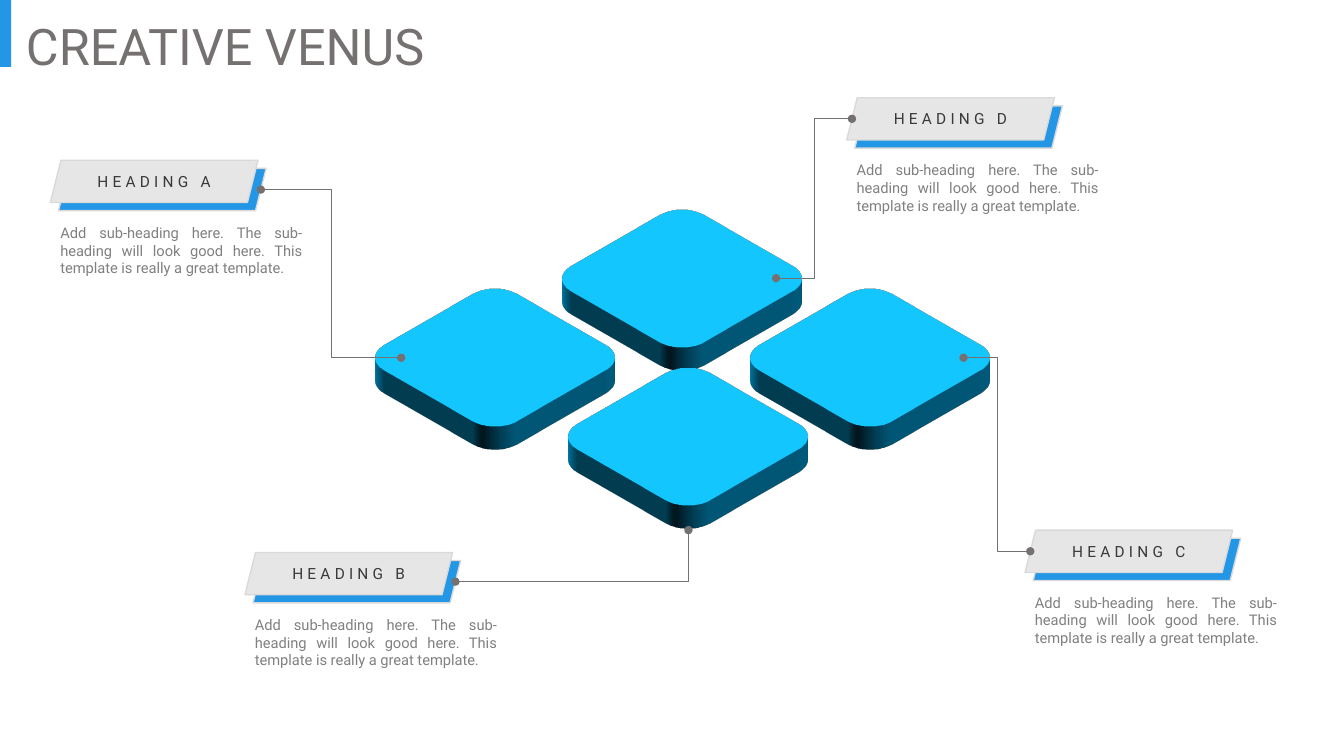
from dataclasses import dataclass

from lxml.etree import SubElement
from pptx import Presentation
from pptx.dml.color import RGBColor
from pptx.enum.shapes import MSO_CONNECTOR as Link, MSO_SHAPE as Preset
from pptx.enum.text import MSO_ANCHOR as Anchor, MSO_AUTO_SIZE as AutoSize, PP_ALIGN as Align
from pptx.oxml.ns import qn
from pptx.shapes.autoshape import Shape
from pptx.shapes.shapetree import SlideShapes
from pptx.text.text import TextFrame
from pptx.util import Pt

BLUE = RGBColor(0x23, 0x96, 0xE5)
TILE_BLUE = RGBColor(0x00, 0xB0, 0xF0)
PLATE_GREY = RGBColor(0xE7, 0xE6, 0xE6)
EDGE_GREY = RGBColor(0xD9, 0xD9, 0xD9)
LINK_GREY = RGBColor(0x76, 0x71, 0x71)
HEADING_GREY = RGBColor(0x3B, 0x38, 0x38)
BODY_GREY = RGBColor(0x80, 0x80, 0x80)

FONT = "Roboto"
SUB_HEADING = ("Add sub-heading here. The sub-heading will look good here. "
               "This template is really a great template.")
TILE = 133.9
PLATE_W, PLATE_H = 148.3, 30.2
PLATE_SLANT = PLATE_H / 4
BACK_OFFSET = 5.8
EXTRUSION = 20

# Connection sites: (index, x share, y share) on a tile
TILE_LEFT, TILE_BOTTOM, TILE_RIGHT = (1, 0, 0.5), (2, 0.5, 1), (3, 1, 0.5)
PLATE_LEFT_SITE, PLATE_RIGHT_SITE = 2, 5


@dataclass(frozen=True)
class Topic:
    heading: str
    left: float
    top: float
    tile_left: float
    tile_top: float
    tile_site: tuple[int, float, float]
    leaves_right: bool
    one_bend: bool = False


TOPICS = [
    Topic("HEADING A", 36, 114.5, 286.6, 188.6, TILE_LEFT, True),
    Topic("HEADING B", 175, 394.6, 424.8, 244.8, TILE_BOTTOM, True, one_bend=True),
    Topic("HEADING C", 732.2, 378.7, 554.4, 188.6, TILE_RIGHT, False),
    Topic("HEADING D", 604.8, 69.8, 420.5, 131.8, TILE_RIGHT, False),
]


def add_block(shapes: SlideShapes, preset: Preset, left: float, top: float,
              width: float, height: float, fill: RGBColor,
              edge: RGBColor | None = None) -> Shape:
    block = shapes.add_shape(preset, Pt(left), Pt(top), Pt(width), Pt(height))
    block.shadow.inherit = False
    block.fill.solid()
    block.fill.fore_color.rgb = fill
    if edge is None:
        block.line.fill.background()
    else:
        block.line.color.rgb = edge
        block.line.width = Pt(1)
    return block


def write(frame: TextFrame, text: str, size: float, color: RGBColor, align: Align) -> None:
    frame.word_wrap = True
    paragraph = frame.paragraphs[0]
    paragraph.text = text
    paragraph.alignment = align
    paragraph.font.name = FONT
    paragraph.font.size = Pt(size)
    paragraph.font.color.rgb = color


def add_text(shapes: SlideShapes, left: float, top: float, width: float, height: float,
             text: str, size: float, color: RGBColor, align: Align) -> None:
    frame = shapes.add_textbox(Pt(left), Pt(top), Pt(width), Pt(height)).text_frame
    write(frame, text, size, color, align)
    frame.auto_size = AutoSize.SHAPE_TO_FIT_TEXT


def add_tile(shapes: SlideShapes, topic: Topic) -> Shape:
    """Add a rounded square, extruded and seen isometrically from above."""
    tile = add_block(shapes, Preset.ROUNDED_RECTANGLE, topic.tile_left, topic.tile_top,
                     TILE, TILE, TILE_BLUE)
    properties = tile.element.spPr
    scene = SubElement(properties, qn("a:scene3d"))
    SubElement(scene, qn("a:camera"), prst="isometricTopUp")
    SubElement(scene, qn("a:lightRig"), rig="threePt", dir="t")
    SubElement(properties, qn("a:sp3d"), extrusionH=str(Pt(EXTRUSION)))
    return tile


def add_plate(shapes: SlideShapes, topic: Topic) -> tuple[Shape, Shape]:
    """Add the heading plate on its blue backing, with the text below."""
    back = add_block(shapes, Preset.PARALLELOGRAM, topic.left + BACK_OFFSET,
                     topic.top + BACK_OFFSET, PLATE_W, PLATE_H, BLUE, EDGE_GREY)
    front = add_block(shapes, Preset.PARALLELOGRAM, topic.left, topic.top,
                      PLATE_W, PLATE_H, PLATE_GREY, EDGE_GREY)
    frame = front.text_frame
    frame.vertical_anchor = Anchor.MIDDLE
    write(frame, topic.heading, 11, HEADING_GREY, Align.CENTER)
    for run in frame.paragraphs[0].runs:
        run._r.get_or_add_rPr().set("spc", "300")
    add_text(shapes, topic.left, topic.top + 41.8, 187.2, 45.4,
             SUB_HEADING, 10.5, BODY_GREY, Align.JUSTIFY)
    return back, front


def add_link(shapes: SlideShapes, topic: Topic, tile: Shape, back: Shape, front: Shape) -> None:
    """Join the plate to its tile with an elbow that has a dot at each end."""
    if topic.leaves_right:
        plate, plate_site = back, PLATE_RIGHT_SITE
        x = topic.left + BACK_OFFSET + PLATE_W - PLATE_SLANT / 2
        y = topic.top + BACK_OFFSET + PLATE_H / 2
    else:
        plate, plate_site = front, PLATE_LEFT_SITE
        x = topic.left + PLATE_SLANT / 2
        y = topic.top + PLATE_H / 2
    tile_site, share_x, share_y = topic.tile_site
    link = shapes.add_connector(Link.ELBOW, Pt(x), Pt(y),
                                Pt(topic.tile_left + share_x * TILE),
                                Pt(topic.tile_top + share_y * TILE))
    link.line.color.rgb = LINK_GREY
    link.line.width = Pt(0.5)
    properties = link.element.spPr
    if topic.one_bend:
        properties.find(qn("a:prstGeom")).set("prst", "bentConnector2")
    outline = properties.find(qn("a:ln"))
    for end in ("a:headEnd", "a:tailEnd"):
        SubElement(outline, qn(end), type="oval")
    SubElement(properties, qn("a:effectLst"))
    joints = link.element.find(f"{qn('p:nvCxnSpPr')}/{qn('p:cNvCxnSpPr')}")
    for tag, shape, site in (("a:stCxn", plate, plate_site), ("a:endCxn", tile, tile_site)):
        SubElement(joints, qn(tag), id=str(shape.shape_id), idx=str(site))


def main() -> None:
    deck = Presentation()
    deck.slide_width, deck.slide_height = Pt(960), Pt(540)
    shapes = deck.slides.add_slide(deck.slide_layouts[6]).shapes

    add_block(shapes, Preset.RECTANGLE, 0, 0, 7.9, 47.8, BLUE)
    add_text(shapes, 11.5, 7.2, 350.6, 50.9, "CREATIVE VENUS", 36, LINK_GREY, Align.LEFT)
    # Tiles further back go first
    by_depth = sorted(TOPICS, key=lambda topic: topic.tile_top)
    tiles = {topic: add_tile(shapes, topic) for topic in by_depth}
    for topic in TOPICS:
        back, front = add_plate(shapes, topic)
        add_link(shapes, topic, tiles[topic], back, front)

    deck.save("out.pptx")


if __name__ == "__main__":
    main()
